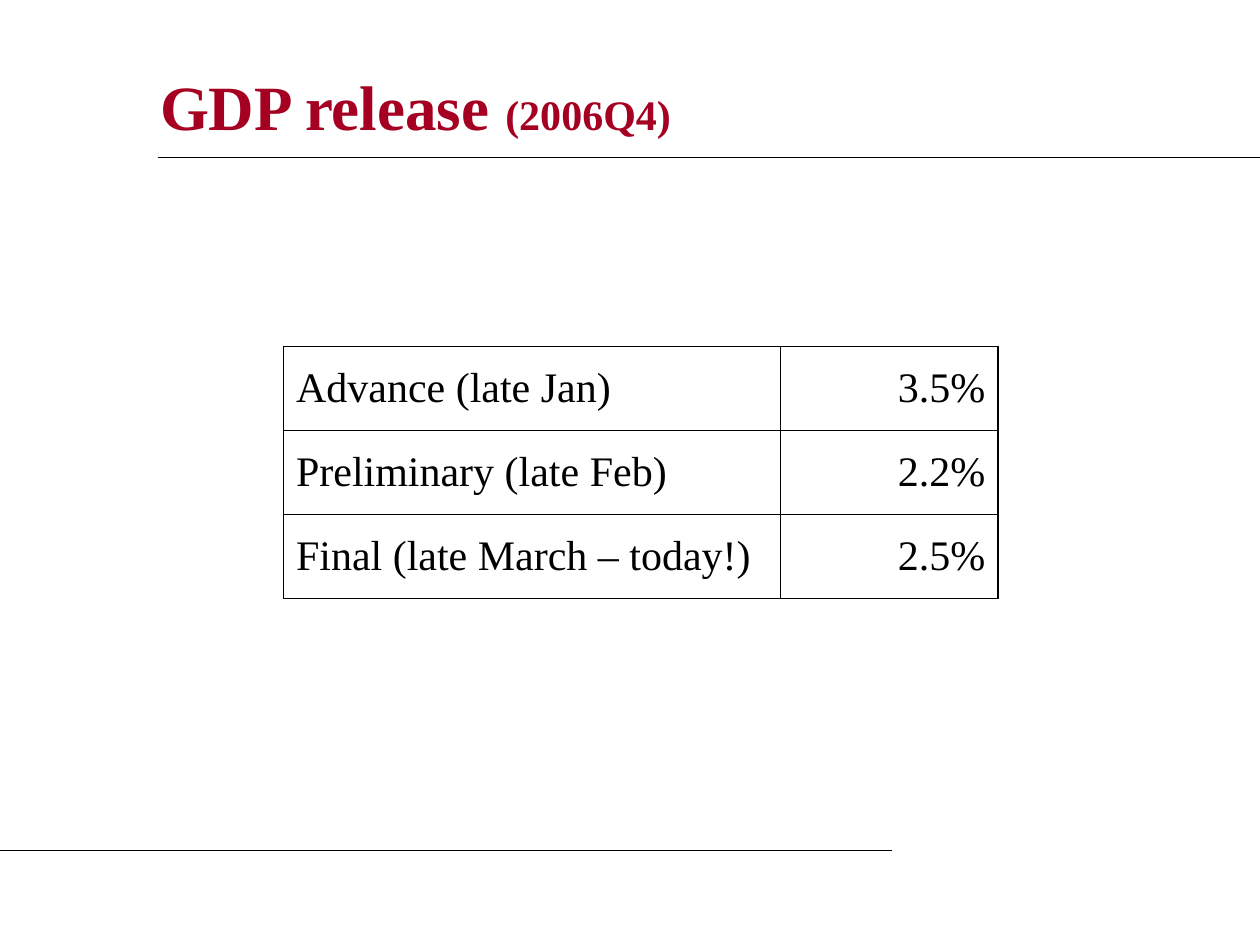
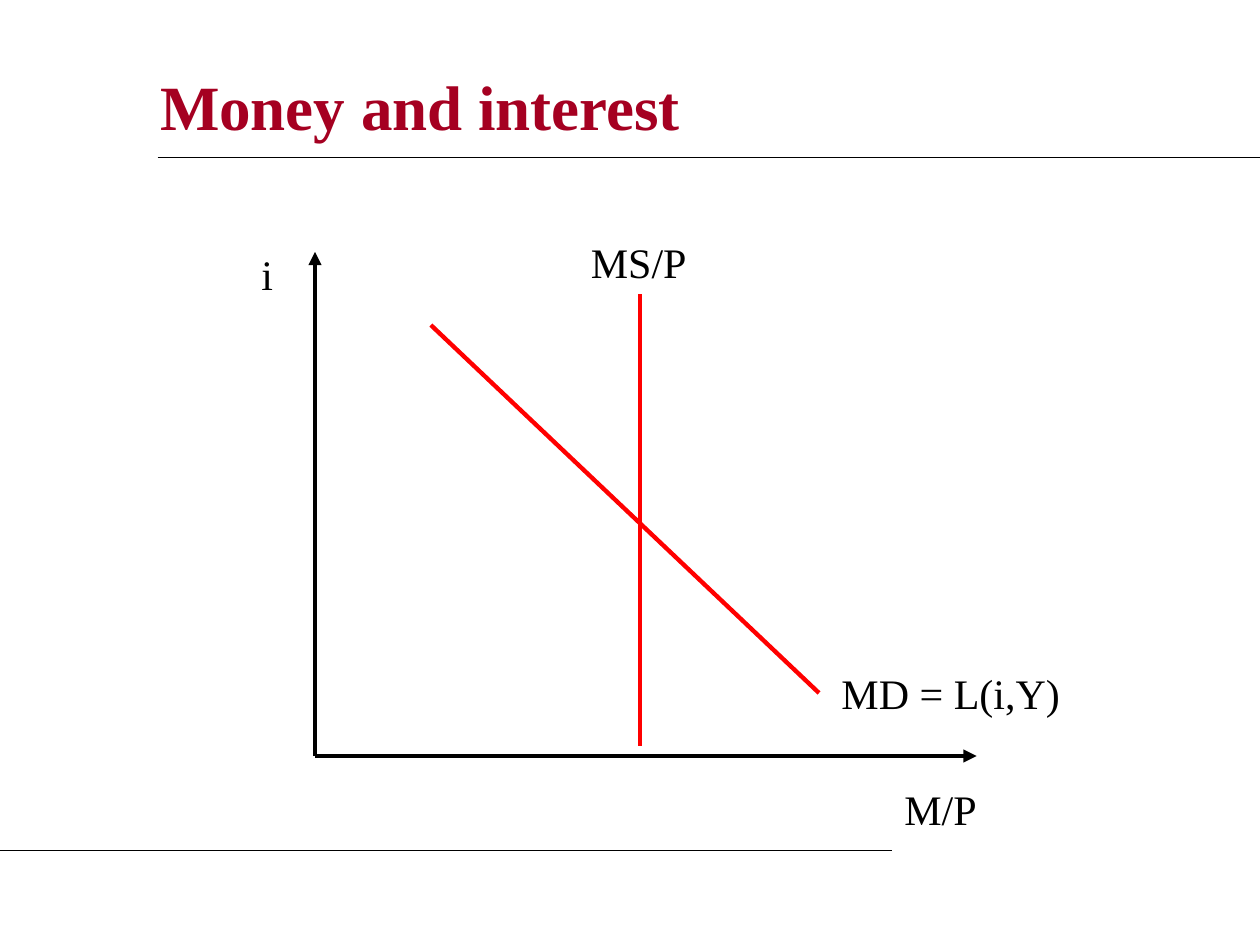
from lxml import etree
from pptx import Presentation
from pptx import util as u
from pptx.dml.color import RGBColor
from pptx.enum import shapes, text
from pptx.oxml import ns

BLACK = RGBColor(0x00, 0x00, 0x00)
WHITE = RGBColor(0xFF, 0xFF, 0xFF)
WINE = RGBColor(0xA5, 0x00, 0x21)
RED = RGBColor(0xFF, 0x00, 0x00)
FONT = "Times New Roman"
LEFT, MID, RIGHT = text.PP_ALIGN.LEFT, text.PP_ALIGN.CENTER, text.PP_ALIGN.RIGHT
OUTER, INNER = 1.08, 0.45


def add_run(para, words, size=24, color=BLACK, bold=False):
    """Append one styled run to a paragraph."""
    run = para.add_run()
    run.text = words
    run.font.name = FONT
    run.font.size = u.Pt(size)
    run.font.bold = bold
    run.font.color.rgb = color


def add_line(slide, start, end, color=BLACK, width=0.75, arrow=False):
    """Draw a straight line, with an arrowhead at its end if asked."""
    line = slide.shapes.add_connector(
        shapes.MSO_CONNECTOR.STRAIGHT, *map(u.Inches, start + end))
    line.line.color.rgb = color
    line.line.width = u.Pt(width)
    if arrow:
        etree.SubElement(line.line._get_or_add_ln(), ns.qn("a:tailEnd"), type="triangle")
    etree.SubElement(line._element.spPr, ns.qn("a:effectLst"))


def add_label(slide, box, words, align=LEFT):
    """Place a graph label in a text box."""
    label = slide.shapes.add_textbox(*map(u.Inches, box))
    frame = label.text_frame
    frame.word_wrap = True
    para = frame.paragraphs[0]
    para.alignment = align
    add_run(para, words)


def add_slide(deck, parts, width):
    """Add a slide with its title and the two shared rules."""
    slide = deck.slides.add_slide(deck.slide_layouts[5])
    slide.background.fill.solid()
    slide.background.fill.fore_color.rgb = WHITE
    title = slide.shapes.title
    title.left, title.top, title.width, title.height = map(
        u.Inches, (1.17, 0.42, width, 0.83))
    frame = title.text_frame
    frame.auto_size = text.MSO_AUTO_SIZE.NONE
    frame.vertical_anchor = text.MSO_ANCHOR.MIDDLE
    para = frame.paragraphs[0]
    para.alignment = LEFT
    for words, size in parts:
        add_run(para, words, size, WINE, True)
    add_line(slide, (1.25, 1.25), (10, 1.25))
    add_line(slide, (0, 6.75), (7.08, 6.75))
    return slide


def set_edge(cell, widths):
    """Give a cell its left, right, top and bottom borders."""
    props = cell._tc.get_or_add_tcPr()
    for spot, (side, width) in enumerate(zip("LRTB", widths)):
        edge = etree.Element(ns.qn("a:ln" + side), w=str(u.Pt(width)))
        fill = etree.SubElement(edge, ns.qn("a:solidFill"))
        etree.SubElement(fill, ns.qn("a:srgbClr"), val=str(BLACK))
        props.insert(spot, edge)


def add_grid(slide, box, rows, cols):
    """Fill a ruled table whose outer frame is heavier."""
    shape = slide.shapes.add_table(len(rows), len(cols), *map(u.Inches, box))
    table = shape.table
    table.first_row = table.horz_banding = False
    for col, width in zip(table.columns, cols):
        col.width = u.Inches(width)
    for r, row in enumerate(rows):
        table.rows[r].height = u.Inches(box[3] / len(rows))
        for c, words in enumerate(row):
            cell = table.cell(r, c)
            cell.fill.background()
            cell.vertical_anchor = text.MSO_ANCHOR.MIDDLE
            ends = (c == 0, c == len(cols) - 1, r == 0, r == len(rows) - 1)
            set_edge(cell, [OUTER if end else INNER for end in ends])
            para = cell.text_frame.paragraphs[0]
            para.alignment = RIGHT if c else LEFT
            add_run(para, words)


def add_graph(slide, box):
    """Draw the money market within the box spanned by its axes."""
    left, top, width, height = box
    base = top + height

    def place(x, y):
        """Turn an offset from the origin into a slide point."""
        return left + x, base - y

    for tip in ((width, 0), (0, height)):
        add_line(slide, place(0, 0), place(*tip), width=2.5, arrow=True)
    for start, end in (((2.58, 0.08), (2.58, 3.67)), ((4, 0.5), (0.92, 3.42))):
        add_line(slide, place(*start), place(*end), RED, 2.5)
    labels = (
        ("M/P", 4.58, -0.17, 0.83, LEFT),
        ("i", -0.67, 4.08, 0.58, MID),
        ("MS/P", 2.07, 4.17, 1, MID),
        ("MD = L(i,Y)", 4.08, 0.75, 2.75, LEFT),
    )
    for words, x, y, span, align in labels:
        add_label(slide, place(x, y) + (span, 0.5), words, align)


def main():
    """Build and save both slides."""
    deck = Presentation()
    deck.slide_width, deck.slide_height = u.Inches(10), u.Inches(7.5)
    slide = add_slide(deck, [("GDP release ", 36), ("(2006Q4)", 24)], 8.08)
    rows = (
        ("Advance (late Jan)", "3.5%"),
        ("Preliminary (late Feb)", "2.2%"),
        ("Final (late March – today!)", "2.5%"),
    )
    add_grid(slide, (2.25, 2.75, 5.67, 2), rows, (3.94, 1.73))
    slide = add_slide(deck, [("Money and interest", 36)], 8.5)
    add_graph(slide, (2.5, 2, 5.25, 4))
    deck.save("out.pptx")


if __name__ == "__main__":
    main()
